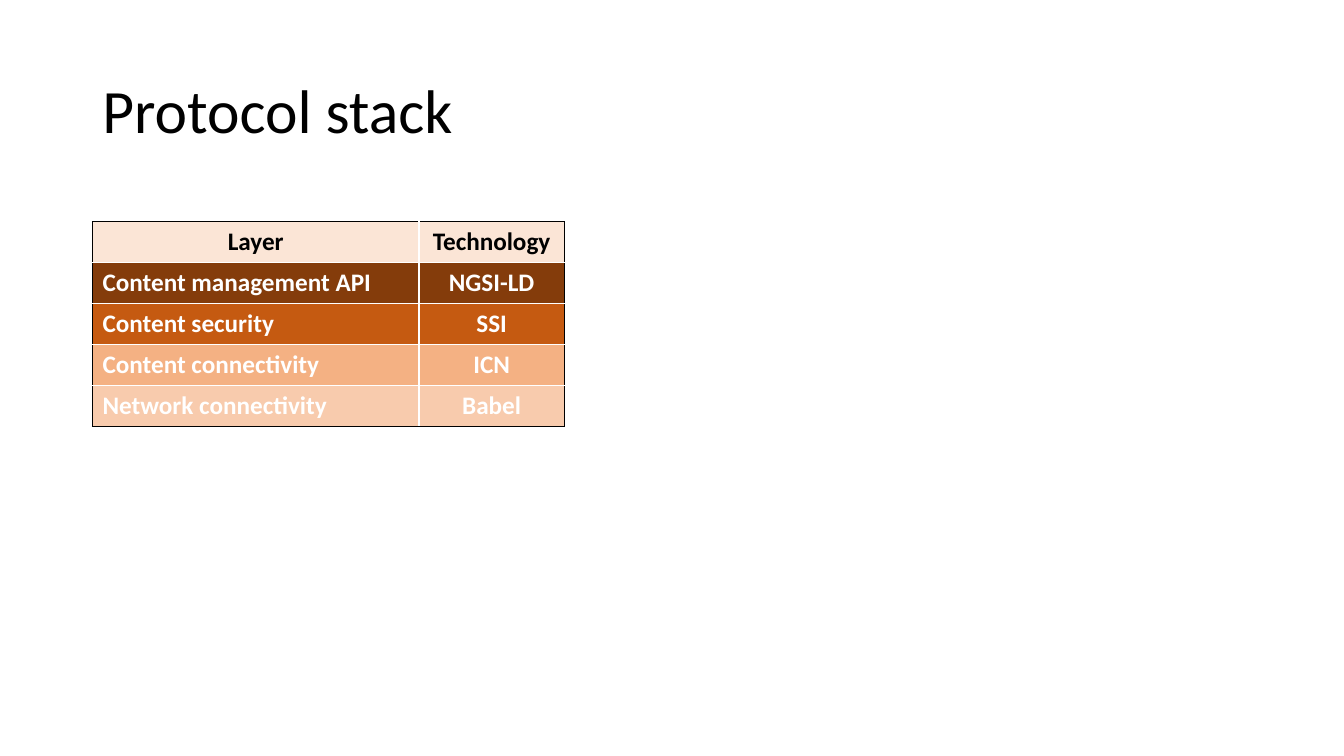
import pptx
import pptx.util
import pptx.dml.color
import pptx.enum.text
import pptx.oxml
import pptx.oxml.ns

Cm = pptx.util.Cm
ALIGN = pptx.enum.text.PP_ALIGN
ANCHOR = pptx.enum.text.MSO_ANCHOR
BLACK, WHITE = "000000", "FFFFFF"


def color(value):
    return pptx.dml.color.RGBColor.from_string(value)


def write(frame, text, size=18, ink=BLACK, bold=False, align=ALIGN.LEFT, spacing=1.0):
    para = frame.paragraphs[0]
    para.alignment = align
    para.line_spacing = spacing
    span = para.add_run()
    span.text = text
    span.font.name = "Calibri"
    span.font.size = pptx.util.Pt(size)
    span.font.bold = bold
    span.font.color.rgb = color(ink)


deck = pptx.Presentation()
deck.slide_width, deck.slide_height = Cm(33.87), Cm(19.05)
page = deck.slides.add_slide(deck.slide_layouts[6])

title = page.shapes.add_textbox(Cm(2.33), Cm(1.01), Cm(29.21), Cm(3.68))
title.text_frame.word_wrap = True
title.text_frame.vertical_anchor = ANCHOR.MIDDLE
write(title.text_frame, "Protocol stack", size=44, spacing=0.9)

layers = [
    ("Layer", "Technology", "FBE5D6"),
    ("Content management API", "NGSI-LD", "843C0B"),
    ("Content security", "SSI", "C55A11"),
    ("Content connectivity", "ICN", "F4B183"),
    ("Network connectivity", "Babel", "F8CBAD"),
]
widths = [8.23, 3.66]
row_height = 1.03
stack = page.shapes.add_table(
    len(layers), len(widths), Cm(2.33), Cm(5.59), Cm(sum(widths)), Cm(row_height * len(layers))
).table
for column, width in zip(stack.columns, widths):
    column.width = Cm(width)

last_row, last_column = len(layers) - 1, len(widths) - 1
for row, (layer, technology, fill) in enumerate(layers):
    stack.rows[row].height = Cm(row_height)
    for column, text in enumerate((layer, technology)):
        cell = stack.cell(row, column)
        cell.fill.solid()
        cell.fill.fore_color.rgb = color(fill)
        centered = row == 0 or column == last_column
        write(
            cell.text_frame,
            text,
            ink=BLACK if row == 0 else WHITE,
            bold=True,
            align=ALIGN.CENTER if centered else ALIGN.LEFT,
        )
        outer_edges = {
            "L": column == 0,
            "R": column == last_column,
            "T": row == 0,
            "B": row == last_row,
        }
        properties = cell._tc.get_or_add_tcPr()
        for position, (side, outer) in enumerate(outer_edges.items()):
            border = pptx.oxml.parse_xml(
                f'<a:ln{side} {pptx.oxml.ns.nsdecls("a")} w="12700"><a:solidFill>'
                f'<a:srgbClr val="{BLACK if outer else WHITE}"/></a:solidFill></a:ln{side}>'
            )
            properties.insert(position, border)

deck.save("out.pptx")
